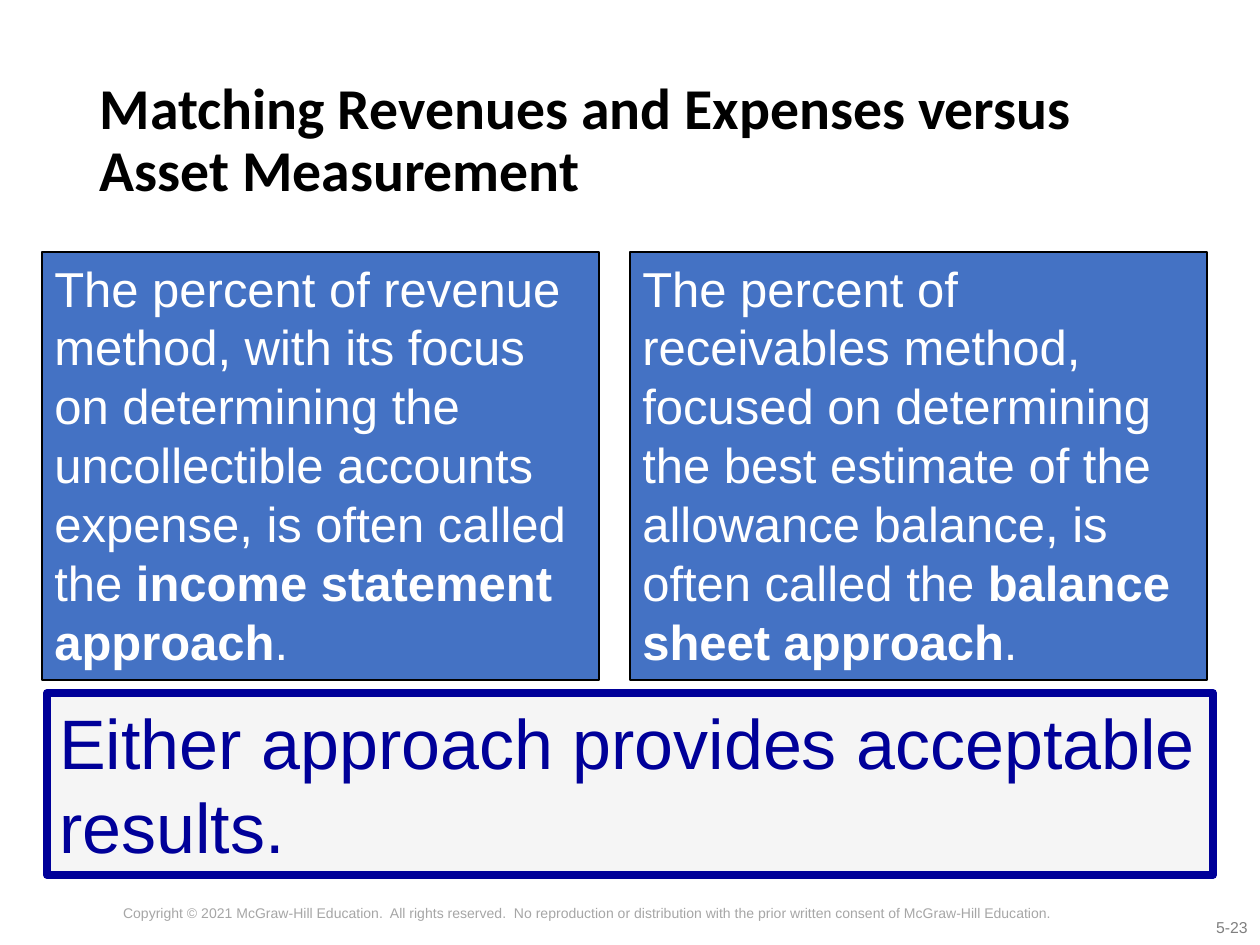
"""Build the slide that compares two ways to estimate uncollectible accounts."""
import dataclasses
import typing

import pptx
import pptx.dml.color
import pptx.enum.shapes
import pptx.enum.text
import pptx.util

SCALE = 914400 / 126
ALIGN = pptx.enum.text.PP_ALIGN
ANCHOR = pptx.enum.text.MSO_ANCHOR
FIT = pptx.enum.text.MSO_AUTO_SIZE


@dataclasses.dataclass
class Span:
    """A stretch of text in one weight."""
    text: str
    bold: bool = False


@dataclasses.dataclass
class Style:
    """The look of a block of text."""
    size: int
    color: str
    font: str = "Arial"
    align: typing.Any = ALIGN.LEFT
    anchor: typing.Any = ANCHOR.TOP
    space: float = 1.0


@dataclasses.dataclass
class Panel:
    """A filled box with an outline and text."""
    box: tuple[int, int, int, int]
    spans: list[Span]
    style: Style
    fill: str
    line: str
    width: float


@dataclasses.dataclass
class Note:
    """A small line of text at the foot."""
    box: tuple[int, int, int, int]
    text: str
    style: Style


def px(count: int) -> pptx.util.Emu:
    """Turn pixels into EMU."""
    return pptx.util.Emu(round(count * SCALE))


def rgb(code: str) -> pptx.dml.color.RGBColor:
    """Turn a hex string into a colour."""
    return pptx.dml.color.RGBColor.from_string(code)


def apply(target: typing.Any, values: dict[str, typing.Any]) -> None:
    """Set each named value on the target."""
    for name, value in values.items():
        setattr(target, name, value)


def place(shape: typing.Any, box: tuple[int, int, int, int]) -> None:
    """Move and size a shape."""
    apply(shape, dict(zip(("left", "top", "width", "height"), map(px, box))))


def write(shape: typing.Any, spans: list[Span], style: Style) -> None:
    """Fill a shape with styled text."""
    frame = shape.text_frame
    apply(frame, {"word_wrap": True, "auto_size": FIT.NONE,
                  "vertical_anchor": style.anchor})
    para = frame.paragraphs[0]
    apply(para, {"alignment": style.align, "line_spacing": style.space})
    for span in spans:
        for index, text in enumerate(span.text.split("\n")):
            if index:
                para.add_line_break()
            run = para.add_run()
            run.text = text
            apply(run.font, {"name": style.font, "bold": span.bold,
                             "size": pptx.util.Pt(style.size)})
            run.font.color.rgb = rgb(style.color)


def draw_panel(slide: typing.Any, panel: Panel) -> None:
    """Draw one panel."""
    kind = pptx.enum.shapes.MSO_SHAPE.RECTANGLE
    shape = slide.shapes.add_shape(kind, *map(px, panel.box))
    shape.shadow.inherit = False
    shape.fill.solid()
    shape.fill.fore_color.rgb = rgb(panel.fill)
    shape.line.color.rgb = rgb(panel.line)
    shape.line.width = pptx.util.Pt(panel.width)
    write(shape, panel.spans, panel.style)


def draw_note(slide: typing.Any, note: Note) -> None:
    """Draw one note."""
    shape = slide.shapes.add_textbox(*map(px, note.box))
    write(shape, [Span(note.text)], note.style)


HEAD = Style(33, "000000", "Calibri", anchor=ANCHOR.MIDDLE, space=0.9)
BODY = Style(28, "FFFFFF")
BLUE = ("4472C4", "000000", 1.5)

NOTES = [
    Note((1108, 912, 152, 32), "5-23", Style(9, "808080", align=ALIGN.RIGHT)),
    Note((0, 898, 1176, 47),
         "Copyright © 2021 McGraw-Hill Education.  All rights reserved.  "
         "No reproduction or distribution with the prior written consent "
         "of McGraw-Hill Education.",
         Style(8, "A6A6A6", align=ALIGN.CENTER)),
]

PANELS = [
    Panel((42, 252, 557, 428),
          [Span("The percent of revenue method, with its focus on determining "
                "the uncollectible accounts expense, is often called the "),
           Span("income statement approach", True), Span(".")], BODY, *BLUE),
    Panel((630, 252, 577, 428),
          [Span("The percent of receivables method, focused on determining the "
                "best estimate of the allowance balance, is often called the "),
           Span("balance sheet approach", True), Span(".")], BODY, *BLUE),
    Panel((47, 693, 1166, 182),
          [Span("Either approach provides acceptable results.")],
          Style(40, "000099"), "F5F5F5", "000099", 4.5),
]


def main() -> None:
    """Build and save the deck."""
    deck = pptx.Presentation()
    apply(deck, {"slide_width": px(1260), "slide_height": px(945)})
    slide = deck.slides.add_slide(deck.slide_layouts[5])
    title = slide.shapes.title
    place(title, (87, 50, 1086, 183))
    write(title, [Span("Matching Revenues and Expenses versus \n"
                       "Asset Measurement", True)], HEAD)
    for note in NOTES:
        draw_note(slide, note)
    for panel in PANELS:
        draw_panel(slide, panel)
    deck.save("out.pptx")


if __name__ == "__main__":
    main()
